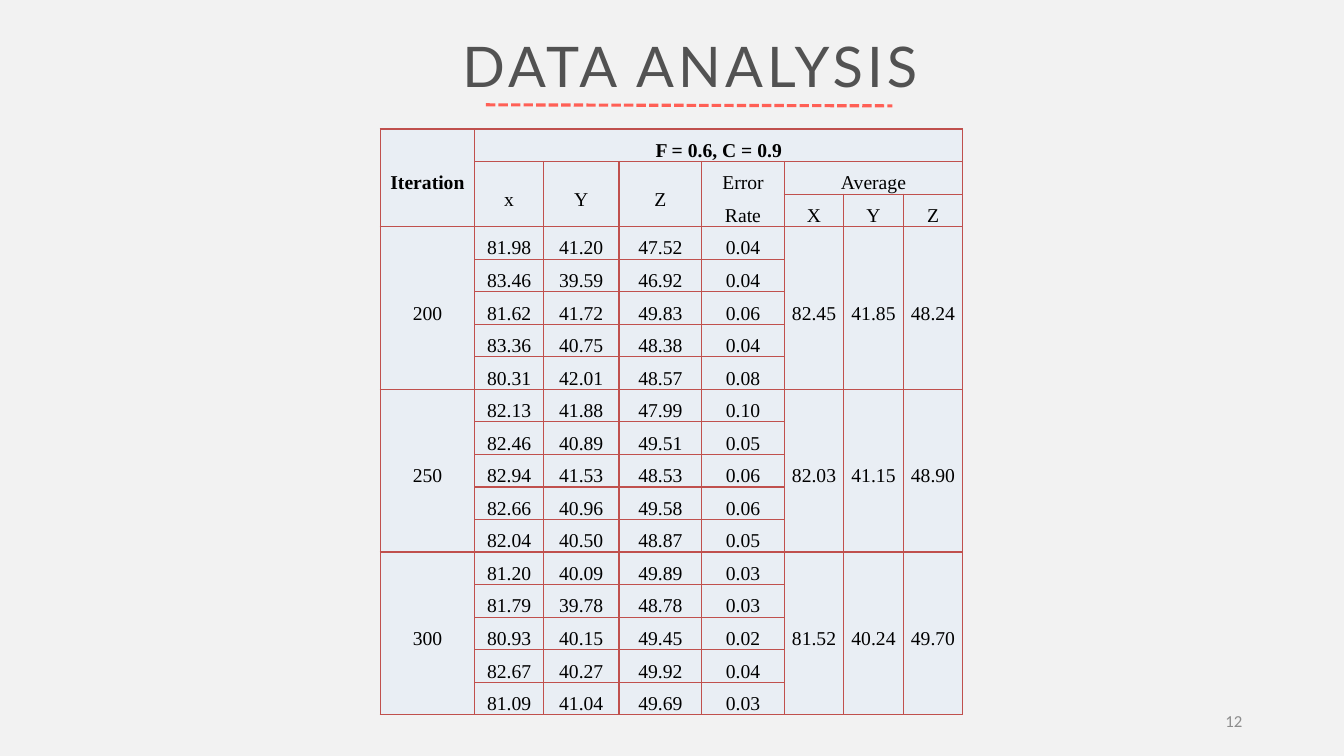
from lxml import etree
from pptx import Presentation, util as u
from pptx.dml.color import RGBColor
from pptx.enum import dml, shapes, text
from pptx.oxml import ns

COLORS = {"back": "F2F2F2", "title": "525252", "rule": "FF6056", "cell": "DEEBF7",
          "border": "C0504D", "ink": "000000", "number": "8C8C8C"}
COLUMNS = [0.94, 0.68, 0.75, 0.82, 0.82, 0.59, 0.59, 0.59]
ROW_H, HEAD_ROWS, RUNS = 0.32, 3, 5
CELL_FONT = {"name": "Times New Roman", "size": u.Pt(14), "bold": False}

# Header cells: row, column, rows spanned, columns spanned, label
HEADER = [(0, 0, 3, 1, "Iteration"), (0, 1, 1, 7, "F = 0.6, C = 0.9"),
          (1, 1, 2, 1, "x"), (1, 2, 2, 1, "Y"), (1, 3, 2, 1, "Z"),
          (1, 4, 2, 1, "Error Rate"), (1, 5, 1, 3, "Average"),
          (2, 5, 1, 1, "X"), (2, 6, 1, 1, "Y"), (2, 7, 1, 1, "Z")]

# Iteration count, averages, then x / Y / Z / error rate of each run
RESULTS = [
    ("200", "82.45 41.85 48.24",
     ["81.98 41.20 47.52 0.04", "83.46 39.59 46.92 0.04", "81.62 41.72 49.83 0.06",
      "83.36 40.75 48.38 0.04", "80.31 42.01 48.57 0.08"]),
    ("250", "82.03 41.15 48.90",
     ["82.13 41.88 47.99 0.10", "82.46 40.89 49.51 0.05", "82.94 41.53 48.53 0.06",
      "82.66 40.96 49.58 0.06", "82.04 40.50 48.87 0.05"]),
    ("300", "81.52 40.24 49.70",
     ["81.20 40.09 49.89 0.03", "81.79 39.78 48.78 0.03", "80.93 40.15 49.45 0.02",
      "82.67 40.27 49.92 0.04", "81.09 41.04 49.69 0.03"]),
]


def rgb(key):
    return RGBColor.from_string(COLORS[key])


def set_all(obj, values):
    for name, value in values.items():
        setattr(obj, name, value)


def write(tf, content, color, align, font):
    p = tf.paragraphs[0]
    p.alignment = align
    r = p.add_run()
    r.text = content
    set_all(r.font, font)
    r.font.color.rgb = rgb(color)
    return p, r


def add_title(s, x, y, w, h):
    sp = s.shapes.title
    set_all(sp, {"left": u.Inches(x), "top": u.Inches(y),
                 "width": u.Inches(w), "height": u.Inches(h)})
    set_all(sp.text_frame, {"auto_size": text.MSO_AUTO_SIZE.NONE, "word_wrap": True,
                            "vertical_anchor": text.MSO_ANCHOR.TOP})
    p, r = write(sp.text_frame, "DATA ANALYSIS", "title", text.PP_ALIGN.CENTER,
                 {"name": "Lato", "size": u.Pt(40)})
    r.font._element.set("spc", "300")

    # Dotted rule under the title
    rule_x, rule_y = x + 2.05, y + h + 0.01
    line = s.shapes.add_connector(shapes.MSO_CONNECTOR.STRAIGHT, u.Inches(rule_x),
                                  u.Inches(rule_y), u.Inches(rule_x + 4.03),
                                  u.Inches(rule_y + 0.01))
    set_all(line.line, {"width": u.Pt(2.25), "dash_style": dml.MSO_LINE.SQUARE_DOT})
    line.line.color.rgb = rgb("rule")
    etree.SubElement(line._element.spPr, ns.qn("a:effectLst"))


def style_cell(cell):
    set_all(cell, {"margin_left": u.Inches(0.07), "margin_right": u.Inches(0.07),
                   "margin_top": 0, "margin_bottom": 0,
                   "vertical_anchor": text.MSO_ANCHOR.MIDDLE})
    cell.fill.solid()
    cell.fill.fore_color.rgb = rgb("cell")
    props = cell._tc.get_or_add_tcPr()
    hue = props.find(".//" + ns.qn("a:srgbClr"))
    etree.SubElement(hue, ns.qn("a:alpha"), val="44000")
    # Borders come before the fill
    for i, side in enumerate(("lnL", "lnR", "lnT", "lnB")):
        ln = etree.Element(ns.qn("a:" + side), w=str(u.Pt(1)))
        fill = etree.SubElement(ln, ns.qn("a:solidFill"))
        etree.SubElement(fill, ns.qn("a:srgbClr"), val=COLORS["border"])
        props.insert(i, ln)


def table_cells():
    yield from HEADER
    for i, (count, averages, runs) in enumerate(RESULTS):
        top = HEAD_ROWS + i * RUNS
        yield top, 0, RUNS, 1, count
        for j, value in enumerate(averages.split()):
            yield top, 5 + j, RUNS, 1, value
        for k, run in enumerate(runs):
            for j, value in enumerate(run.split()):
                yield top + k, 1 + j, 1, 1, value


def add_results(s, x, y):
    n_rows = HEAD_ROWS + RUNS * len(RESULTS)
    table = s.shapes.add_table(n_rows, len(COLUMNS), u.Inches(x), u.Inches(y),
                               u.Inches(sum(COLUMNS)), u.Inches(n_rows * ROW_H)).table
    set_all(table, {"first_row": False, "horz_banding": False})
    for col, width in zip(table.columns, COLUMNS):
        col.width = u.Inches(width)
    for row in table.rows:
        row.height = u.Inches(ROW_H)
    for cell in table.iter_cells():
        style_cell(cell)
    for row, col, down, across, label in table_cells():
        cell = table.cell(row, col)
        if down * across > 1:
            cell.merge(table.cell(row + down - 1, col + across - 1))
        font = {**CELL_FONT, "bold": row == 0}
        p, r = write(cell.text_frame, label, "ink", text.PP_ALIGN.CENTER, font)
        p.line_spacing = 1.5


def add_page_number(s, x, y, w, h):
    tf = s.shapes.add_textbox(*map(u.Inches, (x, y, w, h))).text_frame
    set_all(tf, {"word_wrap": True, "vertical_anchor": text.MSO_ANCHOR.MIDDLE})
    write(tf, "12", "number", text.PP_ALIGN.RIGHT, {"name": "Calibri", "size": u.Pt(12)})


prs = Presentation()
set_all(prs, {"slide_width": u.Inches(13.33), "slide_height": u.Inches(7.5)})
s = prs.slides.add_slide(prs.slide_layouts[5])
s.background.fill.solid()
s.background.fill.fore_color.rgb = rgb("back")
add_results(s, 3.77, 1.28)
add_title(s, 2.77, 0.26, 8.15, 0.77)
add_page_number(s, 9.42, 6.95, 3, 0.4)
prs.save("out.pptx")
